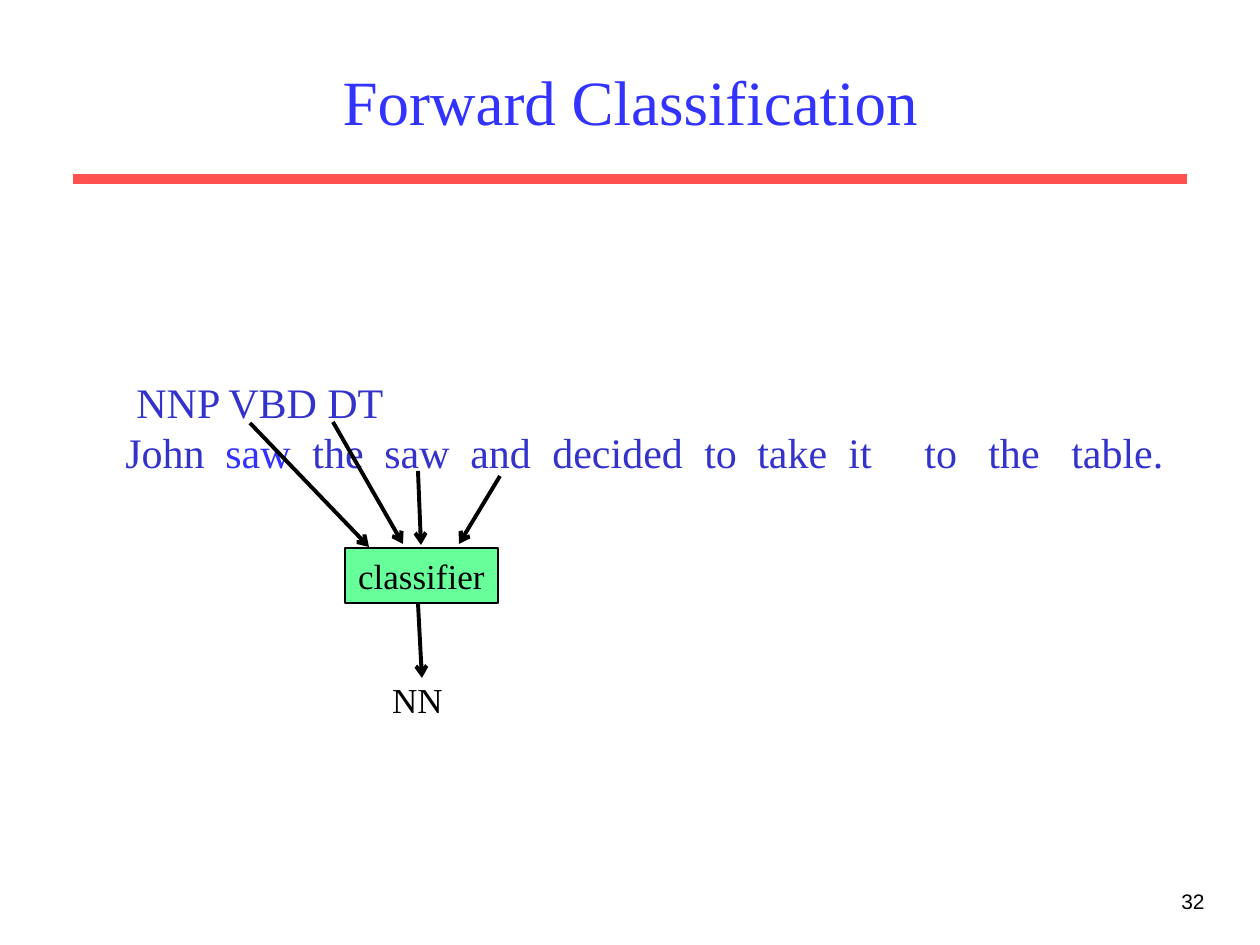
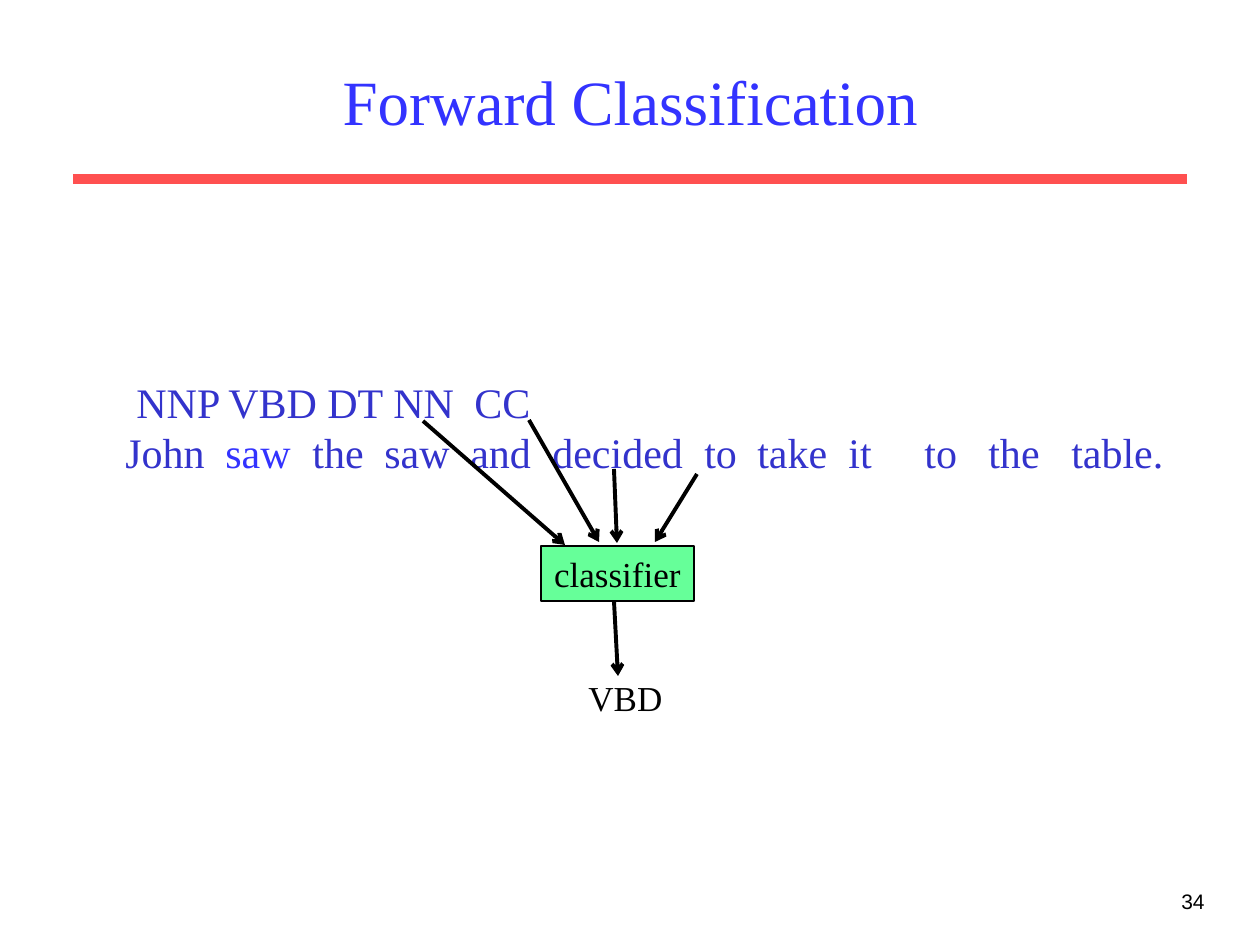
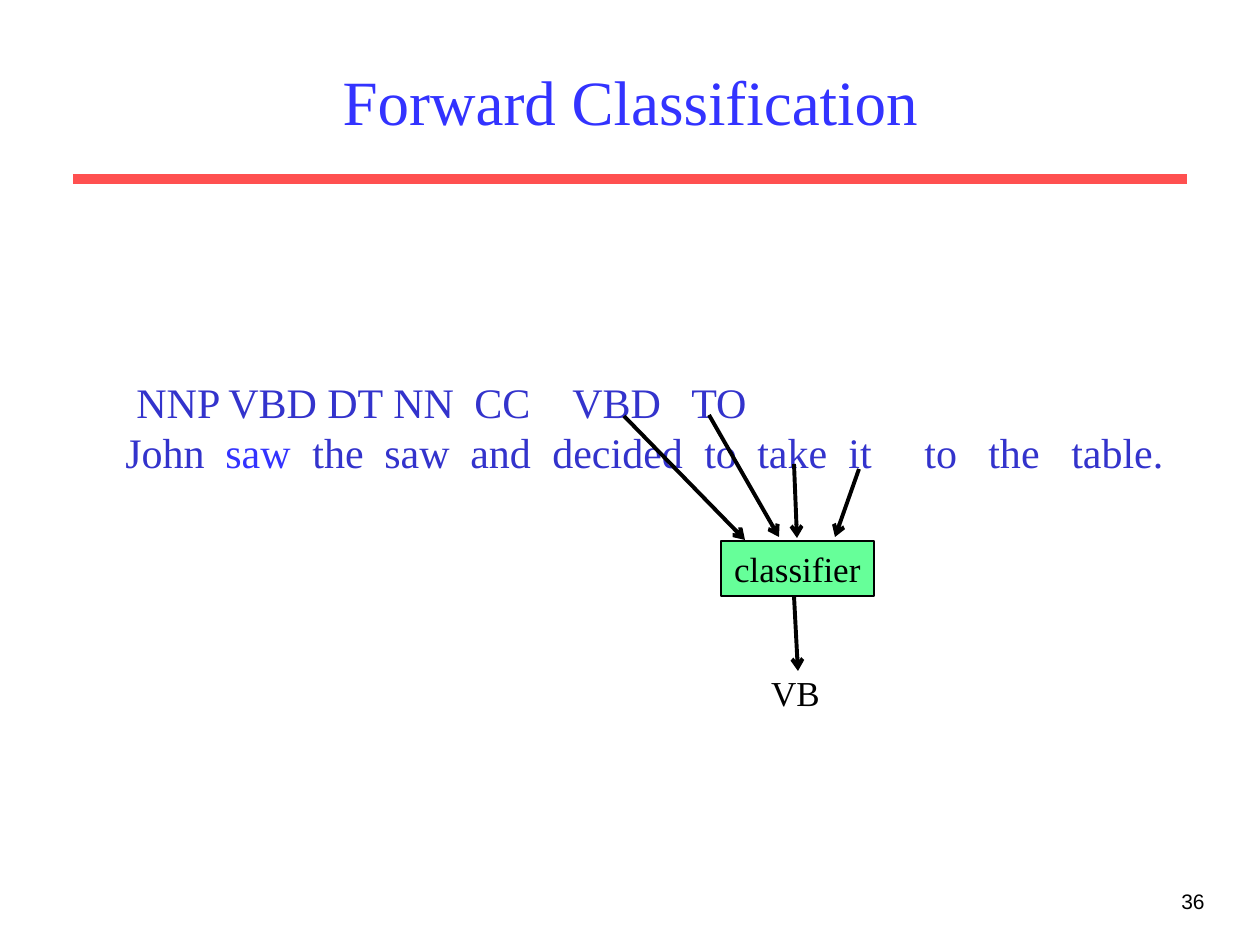
from lxml.etree import SubElement as Sub
from pptx import Presentation
from pptx.dml.color import RGBColor
from pptx.enum.shapes import MSO_CONNECTOR as Conn, MSO_SHAPE as Shape
from pptx.enum.text import MSO_ANCHOR as Anchor, PP_ALIGN as Align
from pptx.oxml.ns import qn
from pptx.util import Inches, Pt

BLUE = RGBColor(0x33, 0x33, 0xFF)
INDIGO = RGBColor(0x33, 0x33, 0xCC)
RED = RGBColor(0xFF, 0x50, 0x50)
GREEN = RGBColor(0x66, 0xFF, 0x99)
BLACK = RGBColor(0, 0, 0)
SERIF, SANS = "Times New Roman", "Arial"

# Tab stops, measured from the left of the text
WORDS = "John saw the saw and decided to take it to the table.".split()
WORD_TABS = [100, 187, 259, 345, 427, 579, 632, 723, 799, 863, 946]
TAG_TABS = [11, 103, 202, 268, 349, 447, 566]

BOX_W, BOX_H = 153, 55
# Arrows shared by all slides, measured from the classifier's corner
ARROWS = [
    (-12, -126, 58, -4),
    (73, -77, 76, -3),
    (73, BOX_H, 77, 130),
]

# Number, tags, result, classifier corner, first and last arrow start, label left and width
STEPS = [
    (32, "NNP VBD DT", "NN", (345, 548), 250, 500, 379, 77),
    (34, "NNP VBD DT NN CC", "VBD", (541, 546), 423, 697, 568, 115),
    (36, "NNP VBD DT NN CC VBD TO", "VB", (721, 541), 624, 859, 747, 97),
]


def px(n):
    return int(n * Inches(1) / 126)


def style(para, size, color=BLACK, face=SERIF, align=Align.LEFT):
    para.alignment = align
    font = para.font
    font.size, font.name = Pt(size), face
    font.color.rgb = color


def add_text(slide, area, text, size, color=BLACK, face=SERIF,
             align=Align.CENTER, anchor=Anchor.TOP):
    frame = slide.shapes.add_textbox(*map(px, area)).text_frame
    frame.word_wrap = True
    frame.vertical_anchor = anchor
    para = frame.paragraphs[0]
    para.add_run().text = text
    style(para, size, color, face, align)


def add_line(slide, ends, color=BLACK, width=2.25, head=True):
    line = slide.shapes.add_connector(Conn.STRAIGHT, *map(px, ends))
    line.line.color.rgb = color
    line.line.width = Pt(width)
    if head:
        Sub(line.line._get_or_add_ln(), qn("a:tailEnd"), type="arrow")
    Sub(line._element.spPr, qn("a:effectLst"))


def set_tabs(para, stops):
    tabs = Sub(para._p.get_or_add_pPr(), qn("a:tabLst"))
    for stop in stops:
        Sub(tabs, qn("a:tab"), pos=str(px(stop)), algn="l")


def add_words(slide, tags):
    frame = slide.shapes.add_textbox(*map(px, (113, 370, 1070, 113))).text_frame
    frame.word_wrap = True
    # Tags found so far
    top = frame.paragraphs[0]
    set_tabs(top, TAG_TABS)
    top.add_run().text = "".join("\t" + tag for tag in tags.split())
    style(top, 24, INDIGO)
    # Sentence, with the first verb in a brighter blue
    low = frame.add_paragraph()
    set_tabs(low, WORD_TABS)
    parts = (WORDS[0] + "\t", WORDS[1], "\t" + "\t".join(WORDS[2:]))
    for part, color in zip(parts, (INDIGO, BLUE, INDIGO)):
        run = low.add_run()
        run.text = part
        run.font.color.rgb = color
    style(low, 24, INDIGO)


def add_box(slide, left, top):
    box = slide.shapes.add_shape(Shape.RECTANGLE, *map(px, (left, top, BOX_W, BOX_H)))
    box.shadow.inherit = False
    box.fill.solid()
    box.fill.fore_color.rgb = GREEN
    box.line.color.rgb = BLACK
    box.line.width = Pt(1)
    frame = box.text_frame
    frame.vertical_anchor = Anchor.MIDDLE
    para = frame.paragraphs[0]
    para.add_run().text = "classifier"
    style(para, 20, align=Align.CENTER)


def add_frame(slide, number):
    add_line(slide, (73, 179, 1187, 179), RED, 6, head=False)
    add_text(slide, (955, 882, 262, 63), str(number), 12, face=SANS, align=Align.RIGHT)
    add_text(slide, (95, 32, 1071, 136), "Forward Classification", 36, BLUE,
             anchor=Anchor.MIDDLE)


def add_step(slide, number, tags, result, corner, first, last, left, width):
    x, y = corner
    add_frame(slide, number)
    add_words(slide, tags)
    add_box(slide, x, y)
    # Inputs and output of the classifier
    add_line(slide, (first, y - 125, x + 24, y - 1))
    add_line(slide, (last, y - 72, x + 114, y - 4))
    for x1, y1, x2, y2 in ARROWS:
        add_line(slide, (x + x1, y + y1, x + x2, y + y2))
    add_text(slide, (left, y + 124, width, BOX_H), result, 20)


def main():
    deck = Presentation()
    deck.slide_width, deck.slide_height = px(1260), px(945)
    for step in STEPS:
        add_step(deck.slides.add_slide(deck.slide_layouts[6]), *step)
    deck.save("out.pptx")


if __name__ == "__main__":
    main()
